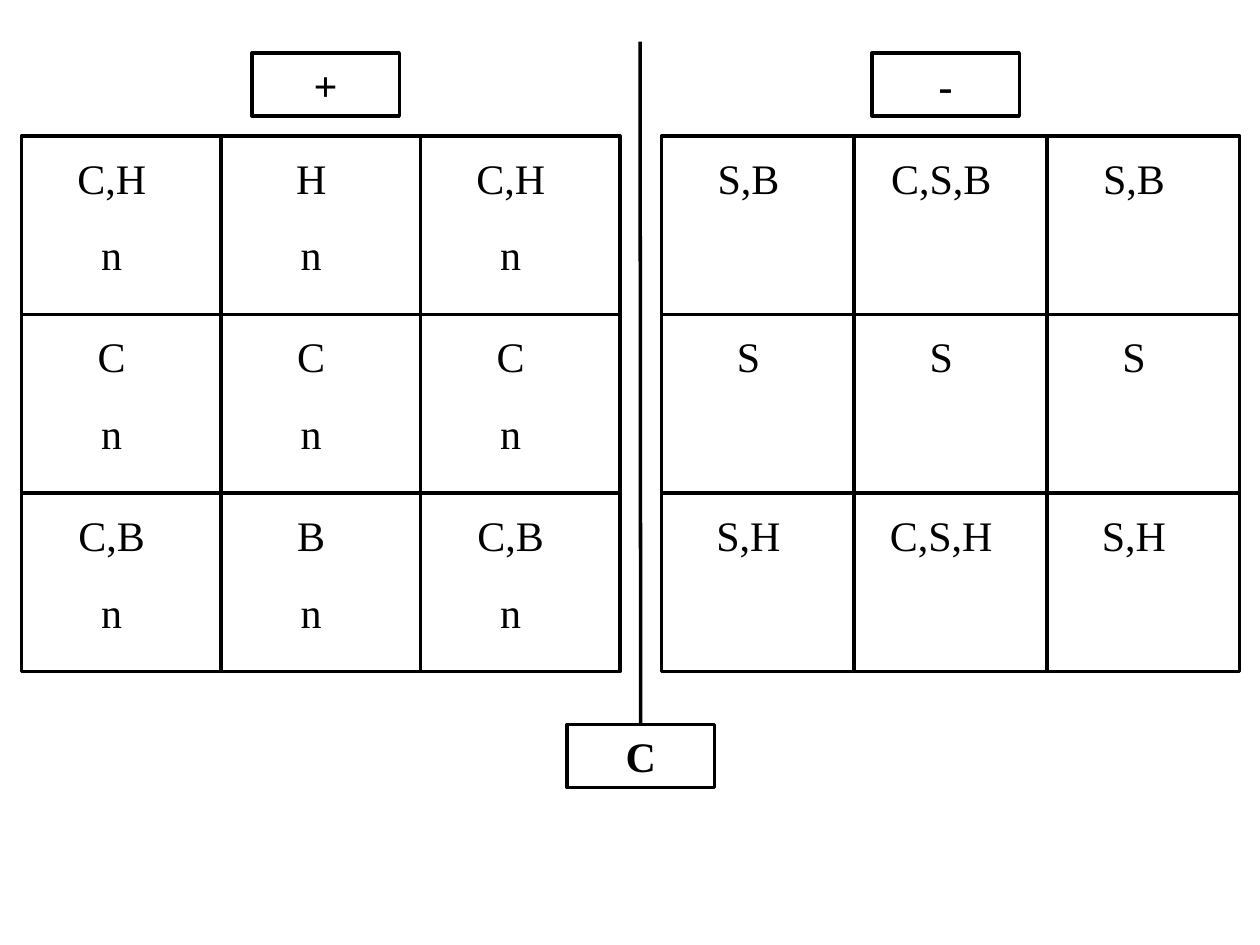
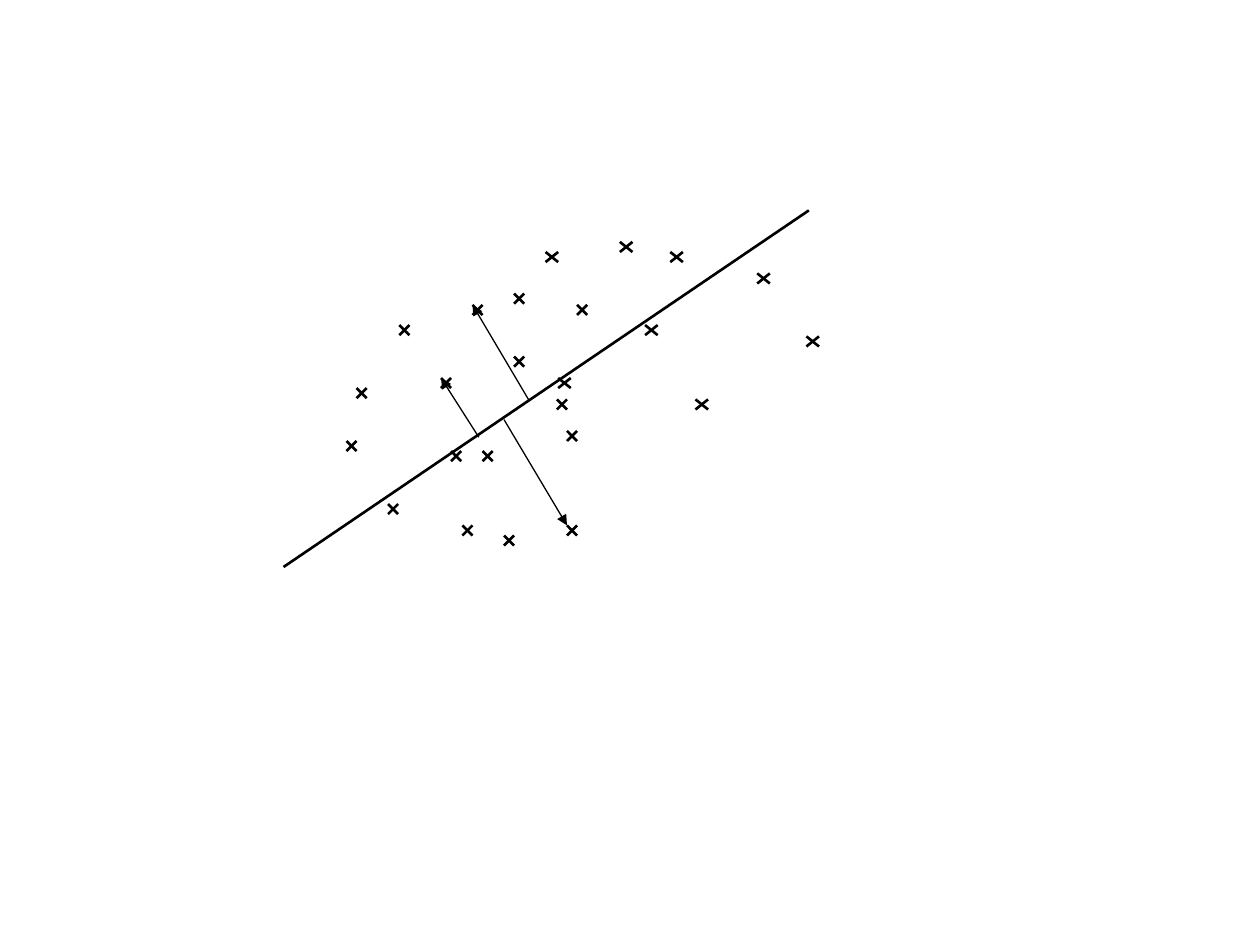
from typing import NamedTuple

from lxml import etree
from pptx import Presentation
from pptx import util as u
from pptx.dml.color import RGBColor
from pptx.enum import shapes, text
from pptx.oxml.ns import qn

# Shared style
INK = "000000"
FONT = "Times New Roman"
FONT_SIZE = 24
BOX_LINE = 2
MARK_LINE = 1.5
ARROW_LINE = 0.75
BLANK_LAYOUT = 6

# Measures of the two grids, in inches
GRID_TOP = 1.08
ROW_HEIGHT = 4.25 / 3
COLUMNS = 3
TEXT_DROP = 0.08
TEXT_MARGIN = 0.15
LABEL_WIDTH, LABEL_HEIGHT = 1.17, 0.5
LINE_STEP = 0.61


class Grid(NamedTuple):
    left: float
    width: float
    rows: list[list[str]]
    second_line: str = ""


class Label(NamedTuple):
    caption: str
    left: float
    top: float


class Segment(NamedTuple):
    x1: float
    y1: float
    x2: float
    y2: float


class MarkSet(NamedTuple):
    width: float
    corners: list[tuple[float, float]]


GRIDS = [
    Grid(0.17, 4.75, [["C,H", "H", "C,H"], ["C", "C", "C"], ["C,B", "B", "C,B"]], "n"),
    Grid(5.25, 4.59, [["S,B", "C,S,B", "S,B"], ["S", "S", "S"], ["S,H", "C,S,H", "S,H"]]),
]
SIGN_LABELS = [Label("+", 2, 0.42), Label("-", 6.92, 0.42)]
ROOT_LABEL = Label("C", 4.5, 5.75)
DIVIDER = Segment(5.08, 0.33, 5.08, 5.75)

# Top left corners of the crosses
MARK_HEIGHT = 0.08
MARK_SETS = [
    MarkSet(0.08, [
        (4.08, 2.83), (3.17, 2.58), (2.83, 3.08), (3.75, 2.42),
        (4.5, 3.42), (3.58, 3.58), (4.08, 2.33), (4.58, 2.42),
        (3.83, 3.58), (3.08, 4), (2.75, 3.5), (3.67, 4.17),
        (4.42, 3.17), (3.5, 3), (4, 4.25), (4.5, 4.17),
    ]),
    MarkSet(0.1, [
        (5.12, 2.58), (6.01, 2.17), (6.4, 2.67), (5.32, 2),
        (4.43, 3), (5.52, 3.17), (4.92, 1.92), (4.33, 2),
    ]),
]
FIT_LINE = Segment(2.25, 4.5, 6.42, 1.67)
DISTANCE_ARROWS = [
    Segment(3.8, 3.47, 3.5, 3),
    Segment(4.2, 3.18, 3.75, 2.42),
    Segment(4, 3.33, 4.5, 4.17),
]


def color(value: str) -> RGBColor:
    return RGBColor.from_string(value)


def add_box(slide, left: float, top: float, width: float, height: float):
    """Draw an outlined rectangle without fill."""
    box = slide.shapes.add_shape(
        shapes.MSO_SHAPE.RECTANGLE,
        u.Inches(left), u.Inches(top), u.Inches(width), u.Inches(height))
    box.shadow.inherit = False
    box.fill.background()
    box.line.color.rgb = color(INK)
    box.line.width = u.Pt(BOX_LINE)
    return box


def write_lines(shape, lines: list[str], bold: bool = False) -> None:
    frame = shape.text_frame
    frame.word_wrap = True
    frame.auto_size = text.MSO_AUTO_SIZE.SHAPE_TO_FIT_TEXT
    frame.vertical_anchor = text.MSO_ANCHOR.TOP
    frame.text = "\n".join(lines)
    for paragraph in frame.paragraphs:
        paragraph.alignment = text.PP_ALIGN.CENTER
        paragraph.space_before = u.Pt(15)
        paragraph.font.name = FONT
        paragraph.font.size = u.Pt(FONT_SIZE)
        paragraph.font.bold = bold
        paragraph.font.color.rgb = color(INK)


def add_line(slide, segment: Segment, weight: float, arrow: bool = False):
    connector = slide.shapes.add_connector(
        shapes.MSO_CONNECTOR.STRAIGHT, *(u.Inches(value) for value in segment))
    connector.line.color.rgb = color(INK)
    connector.line.width = u.Pt(weight)
    if arrow:
        etree.SubElement(connector.line._get_or_add_ln(), qn("a:tailEnd"), type="triangle")
    etree.SubElement(connector._element.spPr, qn("a:effectLst"))
    return connector


def add_grid(slide, grid: Grid) -> None:
    cell_width = grid.width / COLUMNS
    for row, captions in enumerate(grid.rows):
        top = GRID_TOP + row * ROW_HEIGHT
        for column, caption in enumerate(captions):
            left = grid.left + column * cell_width
            add_box(slide, left, top, cell_width, ROW_HEIGHT)
            lines = [caption, grid.second_line] if grid.second_line else [caption]
            height = LABEL_HEIGHT + LINE_STEP * (len(lines) - 1)
            caption_box = slide.shapes.add_textbox(
                u.Inches(left), u.Inches(top + TEXT_DROP),
                u.Inches(cell_width - TEXT_MARGIN), u.Inches(height))
            write_lines(caption_box, lines)


def add_label(slide, label: Label):
    box = add_box(slide, label.left, label.top, LABEL_WIDTH, LABEL_HEIGHT)
    write_lines(box, [label.caption], bold=True)
    return box


def add_cross(slide, left: float, top: float, width: float) -> None:
    right, bottom = left + width, top + MARK_HEIGHT
    add_line(slide, Segment(left, top, right, bottom), MARK_LINE)
    add_line(slide, Segment(left, bottom, right, top), MARK_LINE)


def build_grid_slide(slide) -> None:
    for grid in GRIDS:
        add_grid(slide, grid)
    divider = add_line(slide, DIVIDER, BOX_LINE)
    for label in SIGN_LABELS:
        add_label(slide, label)
    divider.end_connect(add_label(slide, ROOT_LABEL), 0)


def build_scatter_slide(slide) -> None:
    for marks in MARK_SETS:
        for left, top in marks.corners:
            add_cross(slide, left, top, marks.width)
    add_line(slide, FIT_LINE, MARK_LINE)
    for arrow in DISTANCE_ARROWS:
        add_line(slide, arrow, ARROW_LINE, arrow=True)


def main() -> None:
    presentation = Presentation()
    presentation.slide_width = u.Inches(10)
    presentation.slide_height = u.Inches(7.5)
    for build in (build_grid_slide, build_scatter_slide):
        build(presentation.slides.add_slide(presentation.slide_layouts[BLANK_LAYOUT]))
    presentation.save("out.pptx")


if __name__ == "__main__":
    main()
